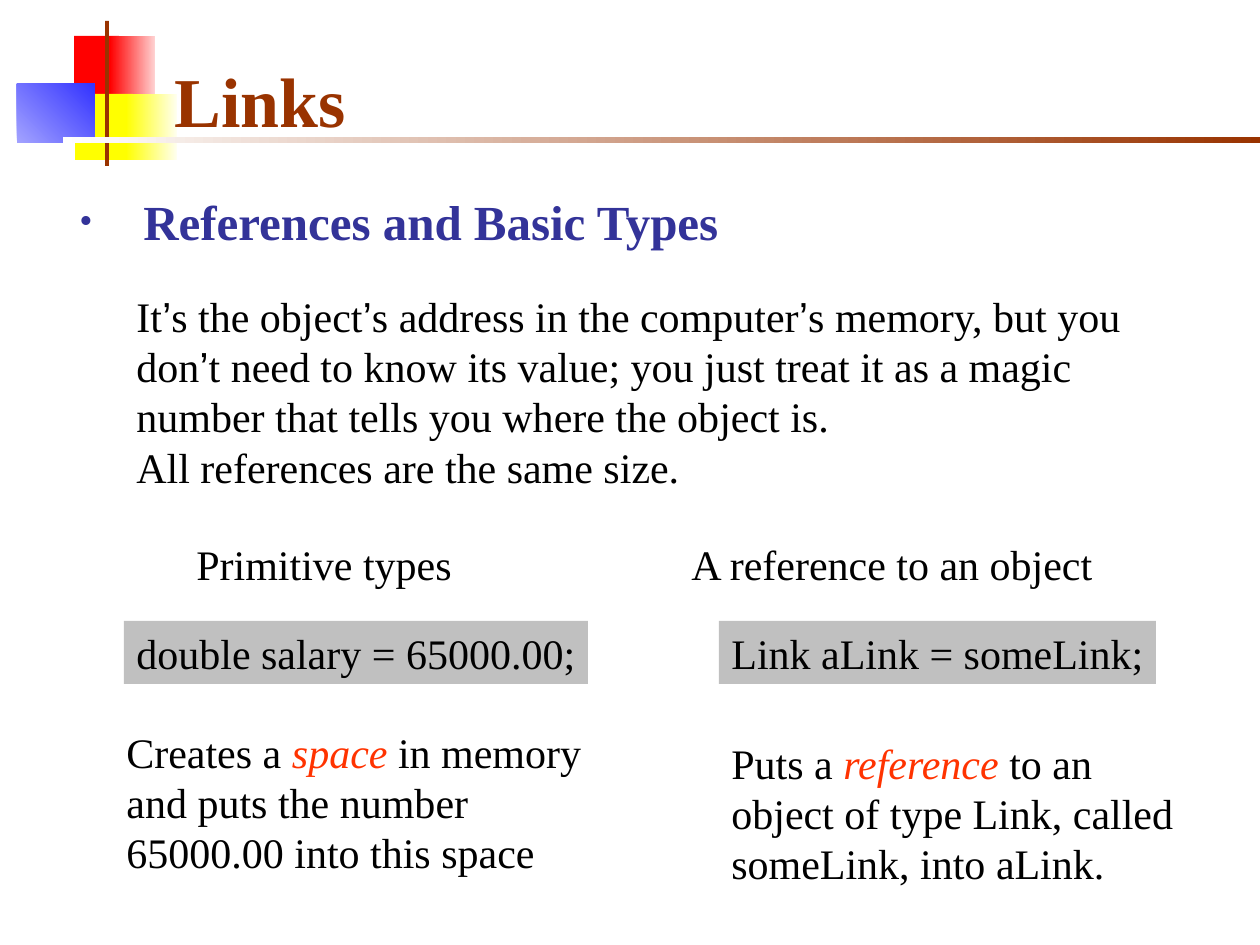
"""Build the "Links" slide on references and basic types."""
from lxml import etree
from pptx import Presentation
from pptx.dml.color import RGBColor
from pptx.enum.shapes import MSO_SHAPE
from pptx.enum.text import MSO_ANCHOR, MSO_AUTO_SIZE, PP_ALIGN
from pptx.oxml.ns import qn
from pptx.util import Pt

RECT = MSO_SHAPE.RECTANGLE
TOP, BOTTOM = MSO_ANCHOR.TOP, MSO_ANCHOR.BOTTOM
LEFT = PP_ALIGN.LEFT
NO_FIT = MSO_AUTO_SIZE.NONE

RED = RGBColor(0xFF, 0x00, 0x00)
PALE_RED = RGBColor(0xFF, 0xD1, 0xD1)
YELLOW = RGBColor(0xFF, 0xFF, 0x00)
PALE_YELLOW = RGBColor(0xFF, 0xFF, 0xEF)
BLUE = RGBColor(0x33, 0x33, 0xFF)
PALE_BLUE = RGBColor(0xA3, 0xA3, 0xFF)
BROWN = RGBColor(0x99, 0x33, 0x00)
NAVY = RGBColor(0x33, 0x33, 0x99)
ORANGE = RGBColor(0xFF, 0x33, 0x00)
GREY = RGBColor(0xC0, 0xC0, 0xC0)
BLACK = RGBColor(0x00, 0x00, 0x00)
WHITE = RGBColor(0xFF, 0xFF, 0xFF)

SCALE = 914400 / 126
SERIF = "Times New Roman"
BODY = {"name": SERIF, "size": Pt(24), "bold": False, "italic": False}
EMPHASIS = {"italic": True}
SPECIAL = {"’": {"name": "Arial"}, "space": EMPHASIS, "reference": EMPHASIS}


def emu(*lengths):
    return [round(n * SCALE) for n in lengths]


def write(sp, text, color=BLACK, wrap=True, anchor=TOP, spacing=None, **fonts):
    tf = sp.text_frame
    tf.auto_size, tf.word_wrap, tf.vertical_anchor = NO_FIT, wrap, anchor
    for i, line in enumerate(text.split("\n")):
        p = tf.add_paragraph() if i else tf.paragraphs[0]
        p.alignment = LEFT
        if spacing:
            p.line_spacing = Pt(spacing)
        for part in line.split("|"):
            r = p.add_run()
            r.text = part
            for key, value in {**BODY, **fonts, **SPECIAL.get(part, {})}.items():
                setattr(r.font, key, value)
            r.font.color.rgb = ORANGE if SPECIAL.get(part) is EMPHASIS else color
    return tf.paragraphs[0]


prs = Presentation()
prs.slide_width, prs.slide_height = emu(1260, 945)
s = prs.slides.add_slide(prs.slide_layouts[5])

decorations = [
    ((74, 36, 45, 65), RED, None, 0),
    ((110, 36, 45, 65), PALE_RED, RED, 180),
    ((75, 94, 58, 66), YELLOW, None, 0),
    ((126, 94, 51, 66), PALE_YELLOW, YELLOW, 180),
    ((17, 84, 78, 59), PALE_BLUE, BLUE, 45),
    ((105, 21, 4, 145), BROWN, None, 0),
    ((63, 137, 1197, 6), WHITE, BROWN, 0),
]
for box, start, end, angle in decorations:
    sp = s.shapes.add_shape(RECT, *emu(*box))
    sp.shadow.inherit = False
    sp.line.fill.background()
    if end is None:
        sp.fill.solid()
        sp.fill.fore_color.rgb = start
    else:
        sp.fill.gradient()
        sp.fill.gradient_angle = angle
        for stop, color in zip(sp.fill.gradient_stops, (start, end)):
            stop.color.rgb = color

title = s.shapes.title
title.left, title.top, title.width, title.height = emu(154, 31, 1087, 117)
p = write(title, "Links", BROWN, anchor=BOTTOM, spacing=48, size=Pt(40), bold=True)
p._p.get_or_add_pPr().set("marL", str(*emu(8)))
title.element.getparent().append(title.element)

sp = s.shapes.add_textbox(*emu(54, 185, 1182, 145))
p = write(sp, "References and Basic Types", NAVY, spacing=34, size=Pt(28), bold=True)
pPr = p._p.get_or_add_pPr()
for key, px in {"marL": 77, "indent": -64}.items():
    pPr.set(key, str(*emu(px)))
color = etree.SubElement(pPr, qn("a:buClr"))
etree.SubElement(color, qn("a:srgbClr"), val=str(NAVY))
etree.SubElement(pPr, qn("a:buSzPct"), val="77000")
etree.SubElement(pPr, qn("a:buFont"), typeface=SERIF)
etree.SubElement(pPr, qn("a:buChar"), char="•")

explanation = (
    "It|’|s the object|’|s address in the computer|’|s memory, but you don|’|t need to "
    "know its value; you just treat it as a magic number that tells you where the "
    "object is.\nAll references are the same size."
)
texts = [
    ((124, 284, 1032, 214), explanation, True),
    ((184, 532, 291, 63), "Primitive types", False),
    ((679, 532, 428, 63), "A reference to an object", False),
    ((114, 720, 486, 164),
     "Creates a |space| in memory and puts the number 65000.00 into this space", True),
    ((719, 731, 476, 164),
     "Puts a |reference| to an object of type Link, called someLink, into aLink.", True),
]
for box, text, wrap in texts:
    write(s.shapes.add_textbox(*emu(*box)), text, wrap=wrap)

statements = [
    ((124, 621, 464, 63), "double salary = 65000.00;"),
    ((719, 621, 437, 63), "Link aLink = someLink;"),
]
for box, text in statements:
    sp = s.shapes.add_shape(RECT, *emu(*box))
    sp.shadow.inherit = False
    sp.fill.solid()
    sp.fill.fore_color.rgb = GREY
    sp.line.fill.background()
    write(sp, text, wrap=False)

prs.save("out.pptx")
